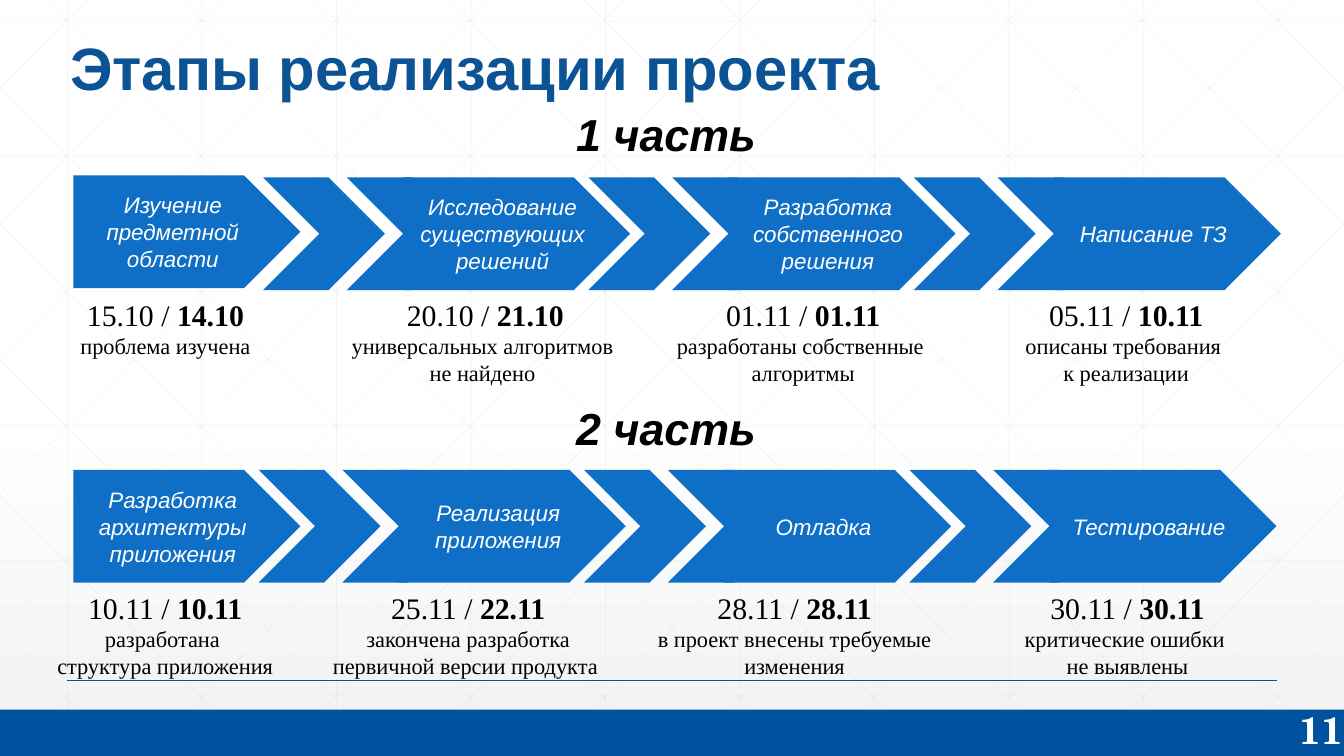
from lxml import etree
from pptx import Presentation
from pptx import util as u
from pptx.dml.color import RGBColor
from pptx.enum import shapes, text
from pptx.oxml.ns import qn

COLORS = {
    "title": "0B5394", "stage": "0F6FC6", "footer": "00529F",
    "grid": "D9D9D9", "white": "FFFFFF", "shade": "F2F2F2", "black": "000000",
}
FORMATS = {
    "title": {"size": u.Pt(42.7), "name": "Arial", "bold": True},
    "part": {"size": u.Pt(32), "name": "Arial", "bold": True, "italic": True},
    "stage": {"size": u.Pt(16), "name": "Arial", "italic": True},
    "plan": {"size": u.Pt(21.3), "name": "Times New Roman"},
    "fact": {"size": u.Pt(21.3), "name": "Times New Roman", "bold": True},
    "result": {"size": u.Pt(16), "name": "Times New Roman"},
    "number": {"size": u.Pt(27), "name": "TeX Gyre Schola", "bold": True},
}
WIDTH, HEIGHT = 33.87, 19.05
PLATE_W, CHEVRON_W, STAGE_H = 5.72, 3.07, 2.84
STAGE_STEP, TAIL_OFFSET, LINK_OFFSET = 8.2, 1.42, 4.67

PARTS = [
    {
        "heading": "1 часть", "box": (1.85, 2.57), "shift": 0.11, "drop": 0.05,
        "stage_top": 1.85, "caption_top": 4.77,
        "stages": [
            ("Изучение предметной области", "15.10", "14.10",
             ["проблема изучена"], 1.73, 4.88),
            ("Исследование существующих решений", "20.10", "21.10",
             ["универсальных алгоритмов ", "не найдено "], 8.56, 7.34),
            ("Разработка собственного решения", "01.11", "01.11",
             ["разработаны собственные ", "алгоритмы"], 16.76, 6.96),
            ("Написание ТЗ", "05.11", "10.11",
             ["описаны требования ", "к реализации"], 25.55, 5.66),
        ],
    },
    {
        "heading": "2 часть", "box": (1.85, 9.98), "shift": 0, "drop": 0,
        "stage_top": 1.86, "caption_top": 4.75,
        "stages": [
            ("Разработка архитектуры приложения", "10.11", "10.11",
             ["разработана ", "структура приложения"], 1.14, 6.05),
            ("Реализация приложения", "25.11", "22.11",
             ["закончена разработка", "первичной версии продукта "], 8.08, 7.44),
            ("Отладка", "28.11", "28.11",
             ["в проект внесены требуемые", "изменения"], 16.28, 7.49),
            ("Тестирование", "30.11", "30.11",
             ["критические ошибки ", "не выявлены"], 25.53, 5.77),
        ],
    },
]


def rgb(color):
    return RGBColor.from_string(COLORS[color])


def add_run(paragraph, words, style, color="black"):
    run = paragraph.add_run()
    run.text = words
    for key, value in FORMATS[style].items():
        setattr(run.font, key, value)
    run.font.color.rgb = rgb(color)


def add_box(slide, left, top, width, height, wrap=False):
    frame = slide.shapes.add_textbox(*map(u.Cm, (left, top, width, height))).text_frame
    frame.word_wrap = wrap
    return frame


def add_filled(slide, kind, left, top, width, height, color):
    shape = slide.shapes.add_shape(kind, *map(u.Cm, (left, top, width, height)))
    shape.shadow.inherit = False
    shape.fill.solid()
    shape.fill.fore_color.rgb = rgb(color)
    shape.line.fill.background()
    return shape


def add_line(slide, start, end, color, weight, alpha=None):
    line = slide.shapes.add_connector(
        shapes.MSO_CONNECTOR.STRAIGHT, *map(u.Cm, (*start, *end)))
    line.line.color.rgb = rgb(color)
    line.line.width = u.Pt(weight)
    properties = line._element.spPr
    if alpha:
        tint = next(properties.iter(qn("a:srgbClr")))
        etree.SubElement(tint, qn("a:alpha")).set("val", str(alpha * 1000))
    etree.SubElement(properties, qn("a:effectLst"))


def add_backdrop(slide, width, bottom):
    fill = slide.background.fill
    fill.gradient()
    fill.gradient_angle = 270
    for stop, position, color in zip(fill.gradient_stops, (0.53, 1), ("white", "shade")):
        stop.position = position
        stop.color.rgb = rgb(color)

    step, run = 3.39, 18.41
    lines = [((1.7 + step * i, 0), (1.7 + step * i, bottom)) for i in range(10)]
    lines += [((0, 0.53 + 3.4 * i), (width, 0.53 + 3.4 * i)) for i in range(6)]
    for i in range(-5, 10):
        origin = 1.16 + step * i
        x1, x2 = max(0, origin), min(width, origin + run)
        y1, y2 = ((x - origin) * bottom / run for x in (x1, x2))
        lines += [((x1, y1), (x2, y2)), ((width - x1, y1), (width - x2, y2))]
    for start, end in lines:
        add_line(slide, start, end, "grid", 0.5, 25)


def add_title(slide, left, top, width, height):
    frame = add_box(slide, left, top, width, height, wrap=True)
    frame.vertical_anchor = text.MSO_ANCHOR.BOTTOM
    frame.paragraphs[0].line_spacing = 0.9
    add_run(frame.paragraphs[0], "Этапы реализации проекта", "title", "title")


def add_caption(slide, left, top, width, plan, fact, results):
    frame = add_box(slide, left, top, width, 1.19 + 0.68 * len(results))
    dates = frame.paragraphs[0]
    add_run(dates, f"{plan} / ", "plan")
    add_run(dates, fact, "fact")
    for result in results:
        add_run(frame.add_paragraph(), result, "result")
    for paragraph in frame.paragraphs:
        paragraph.alignment = text.PP_ALIGN.CENTER


def add_part(slide, part):
    left, top = part["box"]
    heading = add_box(slide, left + 12.42, top, 5.08, 1.63)
    add_run(heading.paragraphs[0], part["heading"], "part")

    row_top = top + part["stage_top"] + part["drop"]
    last = len(part["stages"]) - 1
    for i, (stage, plan, fact, results, caption_left, caption_width) in enumerate(part["stages"]):
        origin = left + part["shift"] + STAGE_STEP * i
        plate_left, plate_top = origin, row_top
        chevrons = [origin + LINK_OFFSET] if i < last else []
        if i:
            chevrons.append(origin - TAIL_OFFSET)
        else:
            plate_left, plate_top = left, row_top - part["drop"]
        for chevron_left in chevrons:
            add_filled(slide, shapes.MSO_SHAPE.CHEVRON, chevron_left, row_top,
                       CHEVRON_W, STAGE_H, "stage")
        plate = add_filled(slide, shapes.MSO_SHAPE.PENTAGON, plate_left, plate_top,
                           PLATE_W, STAGE_H, "stage")
        frame = plate.text_frame
        frame.word_wrap = True
        frame.vertical_anchor = text.MSO_ANCHOR.MIDDLE
        frame.paragraphs[0].alignment = text.PP_ALIGN.CENTER
        add_run(frame.paragraphs[0], stage, "stage", "white")
        add_caption(slide, caption_left, top + part["caption_top"], caption_width,
                    plan, fact, results)


def add_footer(slide, left, top, width, height):
    add_filled(slide, shapes.MSO_SHAPE.RECTANGLE, left, top, width, height, "footer")
    number = add_box(slide, left + width - 1.36, top - 0.02, 1.36, 1.02)
    number.vertical_anchor = text.MSO_ANCHOR.MIDDLE
    number.margin_right = 0
    add_run(number.paragraphs[0], "11", "number", "white")


def main():
    deck = Presentation()
    deck.slide_width, deck.slide_height = u.Cm(WIDTH), u.Cm(HEIGHT)
    slide = deck.slides.add_slide(deck.slide_layouts[6])
    add_backdrop(slide, WIDTH, 18.52)
    add_line(slide, (1.7, 17.15), (32.18, 17.15), "title", 1)
    add_title(slide, 1.52, 0, 30.48, 2.72)
    for part in PARTS:
        add_part(slide, part)
    add_footer(slide, 0, 17.88, WIDTH, 1.17)
    deck.save("out.pptx")


if __name__ == "__main__":
    main()
